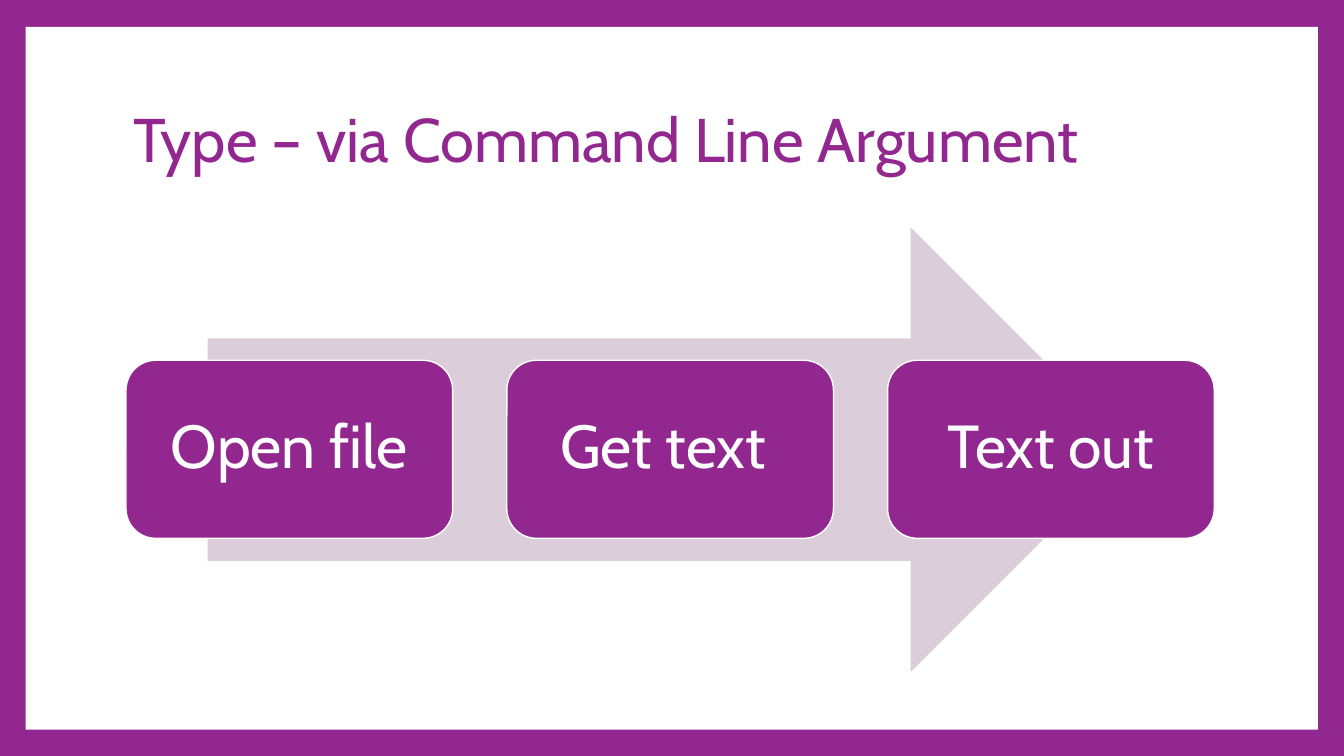
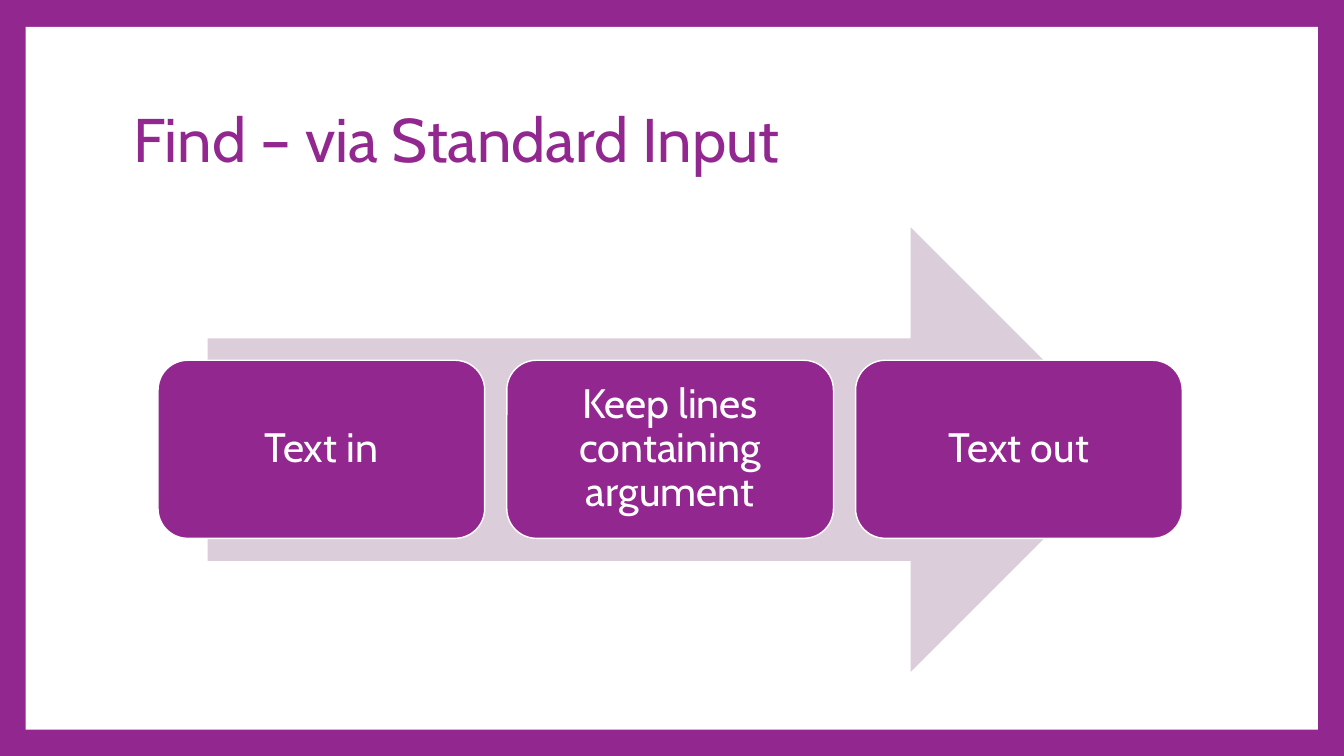
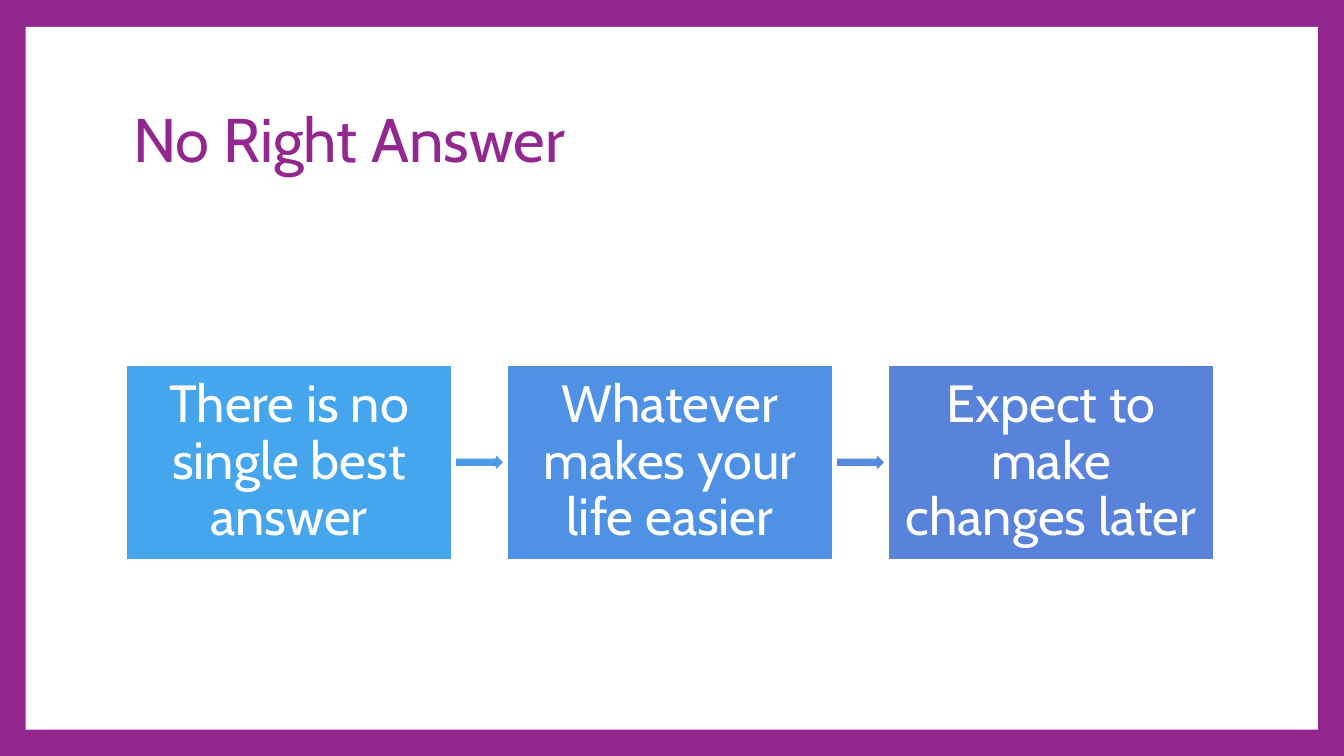
from pptx import Presentation
from pptx.dml.color import RGBColor
from pptx.enum.shapes import MSO_SHAPE
from pptx.enum.text import MSO_ANCHOR, MSO_AUTO_SIZE, PP_ALIGN
from pptx.util import Pt

RECTANGLE = MSO_SHAPE.RECTANGLE
ROUNDED = MSO_SHAPE.ROUNDED_RECTANGLE
RIGHT_ARROW = MSO_SHAPE.RIGHT_ARROW
MIDDLE = MSO_ANCHOR.MIDDLE
NO_AUTOFIT = MSO_AUTO_SIZE.NONE
LEFT, CENTER = PP_ALIGN.LEFT, PP_ALIGN.CENTER

FONT = "Cabin"
PURPLE, PALE_PURPLE, WHITE = "92278F", "DCCDDB", "FFFFFF"
BOX_BLUES = ["45A5ED", "4F91E4", "5982DB"]
LINK_BLUES = ["4A9AE8", "5489DF"]
ROW_CENTER = 718  # horizontal middle of every row of boxes


def color(hex_value):
    return RGBColor.from_string(hex_value)


class SlideBuilder:
    """Holds the shared style and the slide being built."""

    def __init__(self, deck):
        self.deck = deck
        self.layout = deck.slide_layouts[5]
        self.slide = None
        background = deck.slide_master.background.fill
        background.solid()
        background.fore_color.rgb = color(PURPLE)

    def new_slide(self, title):
        self.slide = self.deck.slides.add_slide(self.layout)
        # White panel behind the title
        panel = self.shape(RECTANGLE, 27.4, 28.8, 1384.6, 753.1, WHITE)
        self.slide.shapes.element.insert(2, panel.element)
        # Title
        box = self.slide.shapes.title
        box.left, box.top = Pt(135.4), Pt(72)
        box.width, box.height = Pt(1166.4), Pt(160.6)
        self.text(box, title, 66, PURPLE, LEFT)

    def text(self, box, words, size, hex_value, alignment):
        frame = box.text_frame
        frame.text = words
        frame.word_wrap = True
        frame.auto_size = NO_AUTOFIT
        frame.vertical_anchor = MIDDLE
        para = frame.paragraphs[0]
        para.alignment = alignment
        para.line_spacing = 0.9
        for span in para.runs:
            span.font.name = FONT
            span.font.size = Pt(size)
            span.font.color.rgb = color(hex_value)

    def shape(self, kind, left, top, width, height, fill, outlined=False):
        shape = self.slide.shapes.add_shape(
            kind, Pt(left), Pt(top), Pt(width), Pt(height))
        shape.shadow.inherit = False
        shape.fill.solid()
        shape.fill.fore_color.rgb = color(fill)
        if outlined:
            shape.line.color.rgb = color(WHITE)
            shape.line.width = Pt(1.5)
        else:
            shape.line.fill.background()
        return shape

    def step(self, kind, left, top, width, height, fill, words, size, inset):
        box = self.shape(kind, left, top, width, height, fill, outlined=True)
        self.text(box, words, size, WHITE, CENTER)
        frame = box.text_frame
        frame.margin_left = frame.margin_right = Pt(inset)
        frame.margin_top = frame.margin_bottom = Pt(inset)

    def process_on_arrow(self, labels, pitch, size, inset):
        """Rounded steps in a row on one large arrow."""
        self.shape(RIGHT_ARROW, 222.5, 243.4, 991.4, 476.6, PALE_PURPLE)
        width = 350
        first = ROW_CENTER - width / 2 - pitch * (len(labels) - 1) / 2
        for index, label in enumerate(labels):
            self.step(ROUNDED, first + index * pitch, 386, width, 190.8,
                      PURPLE, label, size, inset)

    def linked_process(self, labels):
        """Blue steps in a row with a small arrow in each gap."""
        top, width, height, pitch = 391, 348.5, 208.8, 408.2
        link_width, link_height = 52.6, 19.4
        first = ROW_CENTER - width / 2 - pitch * (len(labels) - 1) / 2
        link_offset = (width + pitch - link_width) / 2
        for index, label in enumerate(labels):
            left = first + index * pitch
            self.step(RECTANGLE, left, top, width, height,
                      BOX_BLUES[index], label, 56, 12.2)
            if index < len(LINK_BLUES):
                self.shape(RIGHT_ARROW, left + link_offset,
                           top + (height - link_height) / 2,
                           link_width, link_height,
                           LINK_BLUES[index], outlined=True)


def main():
    deck = Presentation()
    deck.slide_width, deck.slide_height = Pt(1440), Pt(810)
    builder = SlideBuilder(deck)

    # Slide 1: type
    builder.new_slide("Type – via Command Line Argument")
    builder.process_on_arrow(["Open file", "Get text ", "Text out"],
                             pitch=408, size=65, inset=19.4)

    # Slide 2: find
    builder.new_slide("Find – via Standard Input")
    builder.process_on_arrow(
        ["Text in", "Keep lines containing argument", "Text out"],
        pitch=373.7, size=44, inset=13)

    # Slide 3: advice
    builder.new_slide("No Right Answer")
    builder.linked_process(["There is no single best answer",
                            "Whatever makes your life easier",
                            "Expect to make changes later"])

    deck.save("out.pptx")


if __name__ == "__main__":
    main()
